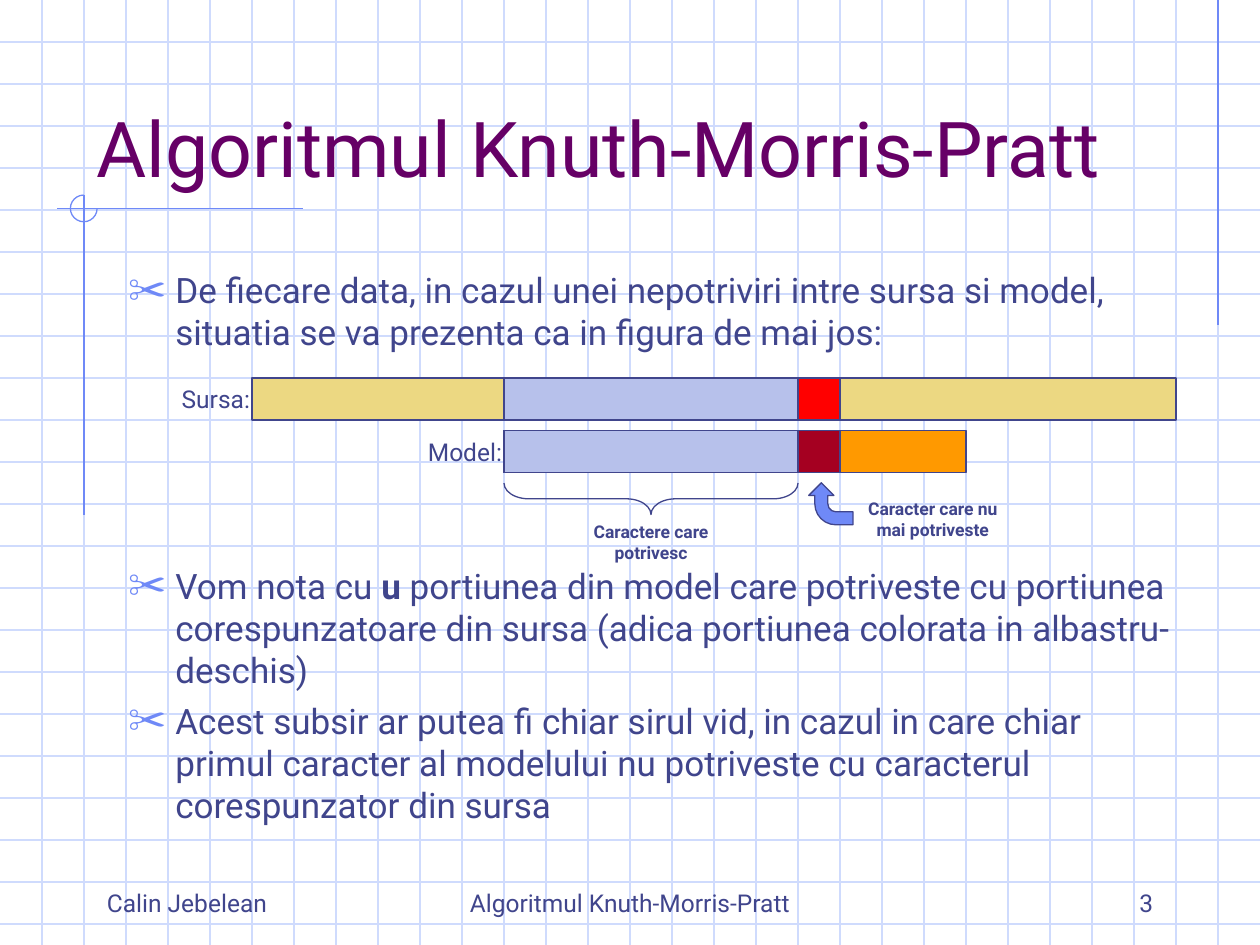
import pptx
import pptx.util
import pptx.dml.color
import pptx.enum.shapes
import pptx.enum.text
import lxml.etree

Pt = pptx.util.Pt
KIND = pptx.enum.shapes.MSO_SHAPE
ALIGN = pptx.enum.text.PP_ALIGN
ANCHOR = pptx.enum.text.MSO_ANCHOR
FONT = "Roboto"
INK, BLUE, GRID, PLUM = "40458C", "6F89F7", "CFDBFD", "660066"
SAND, SKY, AMBER = "ECD882", "B7C1EB", "FF9900"
RED, DARK = "FF0000", "A50021"
UNIT = 24  # pitch of the squared paper
WIDE, HIGH = 720, 540
TITLE = "Algoritmul Knuth-Morris-Pratt"


def color(code):
    return pptx.dml.color.RGBColor.from_string(code)


def child(node, tag, **attrs):
    return lxml.etree.SubElement(node, pptx.oxml.ns.qn(tag), attrs)


def style(font, size, code, bold=None):
    font.name, font.size, font.bold = FONT, Pt(size), bold
    font.color.rgb = color(code)


def line(slide, x1, y1, x2, y2, code):
    link = slide.shapes.add_connector(
        pptx.enum.shapes.MSO_CONNECTOR.STRAIGHT, Pt(x1), Pt(y1), Pt(x2), Pt(y2))
    link.line.color.rgb = color(code)
    link.line.width = Pt(0.75)
    child(link.element.spPr, "a:effectLst")


def shape(slide, kind, box, fill=None, edge=INK, turn=0, adjust=()):
    item = slide.shapes.add_shape(kind, *map(Pt, box))
    item.shadow.inherit = False
    item.rotation = turn
    for i, value in enumerate(adjust):
        item.adjustments[i] = value
    if fill:
        item.fill.solid()
        item.fill.fore_color.rgb = color(fill)
    else:
        item.fill.background()
    item.line.color.rgb = color(edge)
    item.line.width = Pt(0.75)


def label(slide, box, text, size, align, bold=None, anchor=ANCHOR.TOP):
    frame = slide.shapes.add_textbox(*map(Pt, box)).text_frame
    frame.word_wrap = True
    frame.vertical_anchor = anchor
    frame.text = text
    para = frame.paragraphs[0]
    para.alignment = align
    style(para.runs[0].font, size, INK, bold)


def paper(slide):
    for y in range(UNIT, HIGH, UNIT):
        line(slide, 0, y, WIDE, y, GRID)
    for x in range(UNIT, WIDE, UNIT):
        line(slide, x, 0, x, HIGH, GRID)


def frill(slide):
    """Ruled lines and the corner ring beside the title."""
    line(slide, 696, 0, 696, 186, BLUE)
    line(slide, 173, 119.25, 32.5, 119.25, BLUE)
    line(slide, 48, 111.5, 48, 294.5, BLUE)
    shape(slide, KIND.ARC, (40.25, 111.5, 15.25, 15.25), edge=BLUE,
          adjust=(0, 162))


def place(holder, box):
    """Set a placeholder over the paper and return its text frame."""
    holder.left, holder.top, holder.width, holder.height = map(Pt, box)
    holder.element.getparent().append(holder.element)
    frame = holder.text_frame
    frame.word_wrap = True
    frame.auto_size = pptx.enum.text.MSO_AUTO_SIZE.NONE
    return frame


def heading(slide, box):
    frame = place(slide.shapes.title, box)
    frame.vertical_anchor = ANCHOR.BOTTOM
    frame.text = TITLE
    para = frame.paragraphs[0]
    para.alignment = ALIGN.LEFT
    style(para.runs[0].font, 44, PLUM)


def bullet(para):
    props = para._p.get_or_add_pPr()
    props.set("marL", str(Pt(27)))
    props.set("indent", str(-Pt(27)))
    child(child(props, "a:buClr"), "a:srgbClr", val=BLUE)
    child(props, "a:buSzPct", val="110000")
    child(props, "a:buChar", char="✂")


def points(slide, box):
    """List with room for the diagram after its first item."""
    items = [
        (0, ["De fiecare data, in cazul unei nepotriviri intre sursa si model, "
             "situatia se va prezenta ca in figura de mai jos:"]),
        (121, ["Vom nota cu ", "u",
               " portiunea din model care potriveste cu portiunea "
               "corespunzatoare din sursa (adica portiunea colorata in "
               "albastru-deschis)"]),
        (5, ["Acest subsir ar putea fi chiar sirul vid, in cazul in care chiar "
             "primul caracter al modelului nu potriveste cu caracterul "
             "corespunzator din sursa"]),
    ]
    frame = place(slide.placeholders[1], box)
    for i, (gap, parts) in enumerate(items):
        para = frame.add_paragraph() if i else frame.paragraphs[0]
        bullet(para)
        para.space_before = Pt(gap)
        for part in parts:
            run = para.add_run()
            run.text = part
            style(run.font, 20, INK, part == "u")


def bar(slide, box, name, fill, start, span, miss):
    """Named strip with its matching span and the character that differs."""
    x, y, w, h = box
    shape(slide, KIND.RECTANGLE, box, fill)
    shape(slide, KIND.RECTANGLE, (start, y, span, h), SKY)
    shape(slide, KIND.RECTANGLE, (start + span, y, h, h), miss)
    label(slide, (x - 66, y, 72, h), name, 14, ALIGN.RIGHT)


def figure(slide, box):
    x, y, w, h = box
    start, span = x + 6 * UNIT, 7 * UNIT
    low = y + 30
    bar(slide, (x, y, w, UNIT), "Sursa:", SAND, start, span, RED)
    bar(slide, (start, low, 11 * UNIT, UNIT), "Model:", AMBER, start, span, DARK)
    mid, deep = start + span / 2, 18
    shape(slide, KIND.LEFT_BRACE,
          (mid - deep / 2, y + 60 + deep / 2 - span / 2, deep, span),
          turn=270, adjust=(0.78, 0.5))
    label(slide, (mid - 48, y + 78, 96, 32), "Caractere care potrivesc",
          10, ALIGN.CENTER, True)
    shape(slide, KIND.BENT_ARROW, (start + span + 6.75, y + 59.25, 24, 25.25),
          BLUE, turn=270, adjust=(0.31, 0.3, 0.3, 0.5))
    label(slide, (start + span + 26, y + 65, 102, 32),
          "Caracter care nu mai potriveste", 10, ALIGN.CENTER, True)


def footer(slide, box):
    x, y, w, h = box
    for left, wide, text, align in (
            (x, 150, "Calin Jebelean", ALIGN.LEFT),
            (x + 192, 228, TITLE, ALIGN.CENTER),
            (x + w - 150, 150, "3", ALIGN.RIGHT)):
        label(slide, (left, y, wide, h), text, 14, align, anchor=ANCHOR.BOTTOM)


def main():
    deck = pptx.Presentation()
    deck.slide_width, deck.slide_height = Pt(WIDE), Pt(HIGH)
    slide = deck.slides.add_slide(deck.slide_layouts[1])
    paper(slide)
    frill(slide)
    footer(slide, (54, 492, 612, 36))
    heading(slide, (48, 24, 612, 90))
    points(slide, (66, 150, 612, 324))
    figure(slide, (144, 216, 528, 110))
    deck.save("out.pptx")


if __name__ == "__main__":
    main()
